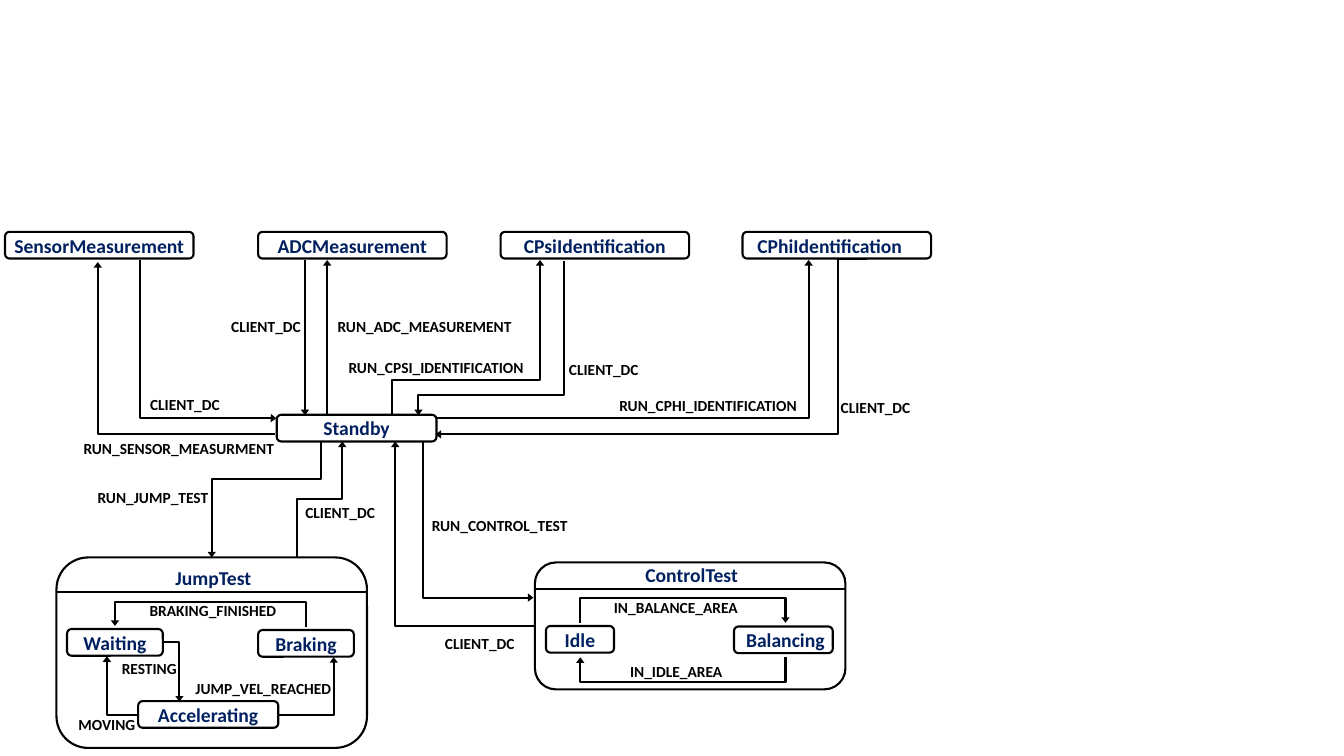
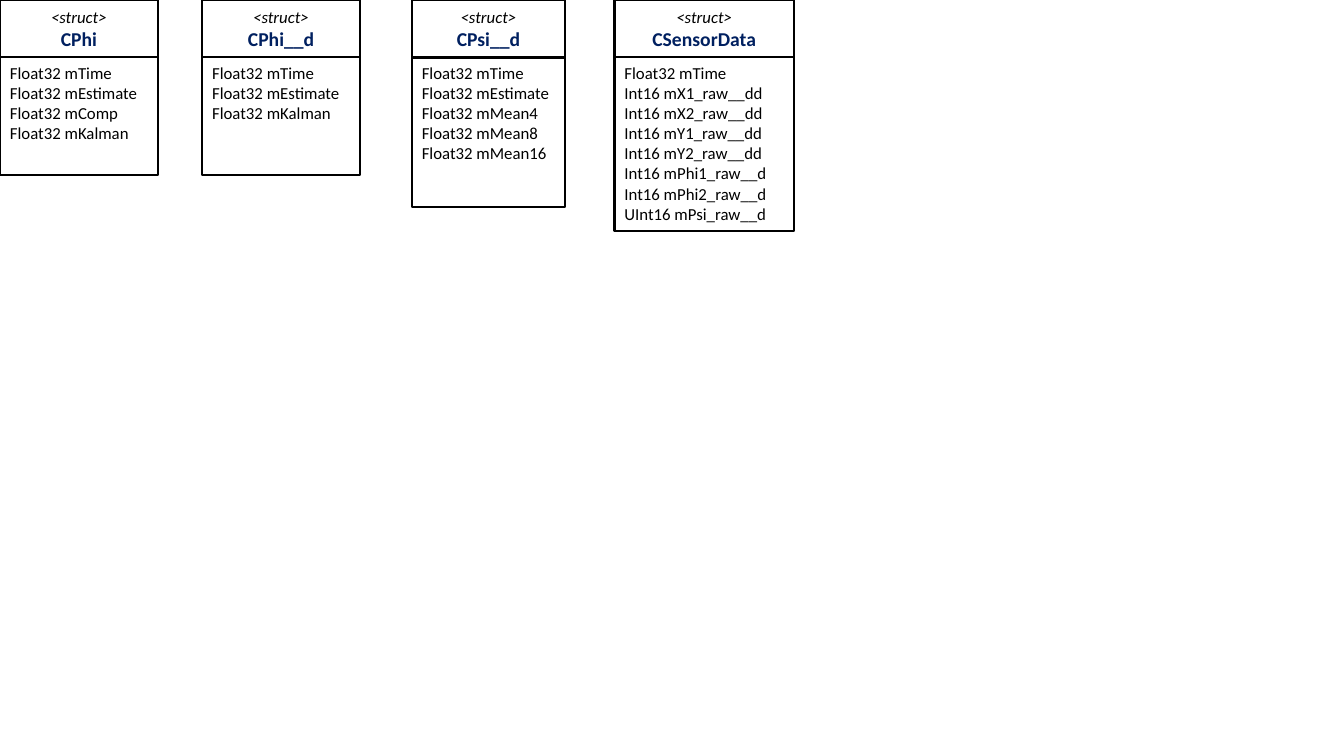
from dataclasses import dataclass

from lxml import etree
from pptx import Presentation
from pptx.dml.color import RGBColor
from pptx.enum.shapes import MSO_CONNECTOR as Connector, MSO_SHAPE as Preset
from pptx.enum.text import MSO_ANCHOR as Anchor, PP_ALIGN as Align
from pptx.oxml.ns import qn
from pptx.util import Inches, Pt


@dataclass(frozen=True)
class Style:
    size: int
    color: RGBColor
    bold: bool = False
    italic: bool = False


class Theme:
    font = "Calibri"
    black = RGBColor(0, 0, 0)
    white = RGBColor(255, 255, 255)
    navy = RGBColor(0x00, 0x20, 0x60)
    line = Pt(1.5)
    name = Style(14, navy, bold=True)
    event = Style(11, black, bold=True)
    field = Style(12, black)
    stereotype = Style(12, black, italic=True)


presentation = Presentation()
presentation.slide_width = Inches(13.33)
presentation.slide_height = Inches(7.5)
CELL = presentation.slide_height / 75  # square grid, 75 rows high
INSET = (1, 0.5, 1, 0.5)  # left, top, right, bottom in cells


def add_box(slide, preset, place, lines=(), align=Align.CENTER,
            anchor=Anchor.MIDDLE, inset=INSET, wrap=False):
    """Add a preset shape, or a text box when preset is None."""
    frame = [round(value * CELL) for value in place]
    if preset is None:
        shape = slide.shapes.add_textbox(*frame)
    else:
        shape = slide.shapes.add_shape(preset, *frame)
        shape.shadow.inherit = False
        shape.fill.solid()
        shape.fill.fore_color.rgb = Theme.white
        shape.line.color.rgb = Theme.black
        shape.line.width = Theme.line
    text_frame = shape.text_frame
    text_frame.word_wrap = wrap
    text_frame.vertical_anchor = anchor
    for side, margin in zip(("left", "top", "right", "bottom"), inset):
        setattr(text_frame, f"margin_{side}", round(margin * CELL))
    text_frame.text = "\n".join(text for text, _ in lines)
    for paragraph, (_, style) in zip(text_frame.paragraphs, lines):
        paragraph.alignment = align
        for run in paragraph.runs:
            run.font.name = Theme.font
            run.font.size = Pt(style.size)
            run.font.bold = style.bold
            run.font.italic = style.italic
            run.font.color.rgb = style.color


def draw_route(slide, points, arrow=True):
    """Draw one connector: straight for two points, elbow for more."""
    (x0, y0), (x1, y1) = points[0], points[-1]
    bend_x, bend_y = points[1]
    dx, dy = x1 - x0, y1 - y0
    is_bent = len(points) > 2
    is_upright = is_bent and bend_x == x0
    start, end, rotation = (x0, y0), (x1, y1), 0
    if is_upright:  # a quarter turn makes the first leg vertical
        center_x, center_y = (x0 + x1) / 2, (y0 + y1) / 2
        start = (center_x - dy / 2, center_y + dx / 2)
        end = (center_x + dy / 2, center_y - dx / 2)
        rotation = 90
    # A half turn stands for a flip in both directions
    half_turn = (dx > 0) != (dy < 0) if is_upright else dx < 0
    if is_bent and half_turn:
        start, end = end, start
        rotation += 180

    connector = slide.shapes.add_connector(
        Connector.ELBOW if is_bent else Connector.STRAIGHT,
        *(round(value * CELL) for value in (*start, *end)))
    connector.line.color.rgb = Theme.black
    connector.line.width = Theme.line
    properties = connector._element.spPr
    etree.SubElement(properties, qn("a:effectLst"))
    if rotation:
        properties.find(qn("a:xfrm")).set("rot", str(rotation * 60000))
    geometry = properties.find(qn("a:prstGeom"))
    if len(points) == 3 and not is_upright:
        geometry.set("prst", "bentConnector2")
    elif is_bent:
        share = (bend_y - y0) / dy if is_upright else (bend_x - x0) / dx
        etree.SubElement(geometry.find(qn("a:avLst")), qn("a:gd"),
                         name="adj1", fmla=f"val {round(share * 100000)}")
    if arrow:
        etree.SubElement(properties.find(qn("a:ln")), qn("a:tailEnd"),
                         type="triangle", w="med", len="sm")


blank = presentation.slide_layouts[6]

# Slide 1: state machine
slide = presentation.slides.add_slide(blank)

# Composite states: name, frame, title top, divider row
TITLE_SHIFT = 0.15
composites = [
    ("ControlTest", (53.05, 55.8, 30.8, 12.6), 55.3, 58.4),
    ("JumpTest", (5.6, 55.3, 30.8, 18.9), 55.6, 58.7),
]
for name, place, title_top, divider in composites:
    left, _, width, _ = place
    add_box(slide, Preset.ROUNDED_RECTANGLE, place)
    add_box(slide, None, (left + TITLE_SHIFT, title_top, width, 3.4),
            [(name, Theme.name)])
    draw_route(slide, [(left, divider), (left + width, divider)], arrow=False)

# Simple states: name, left, top, width, left and right text inset
STATE_HEIGHT = 2.65
TOP_ROW, TOP_WIDTH = 23, 18.7
states = [
    ("SensorMeasurement", 0.5, TOP_ROW, TOP_WIDTH, 0, 0),
    ("ADCMeasurement", 25.6, TOP_ROW, TOP_WIDTH, 0, 0),
    ("CPsiIdentification", 49.65, TOP_ROW, TOP_WIDTH, 0, 0),
    ("CPhiIdentification", 73.65, TOP_ROW, TOP_WIDTH, 0, 1.4),
    ("Standby", 27.45, 41.15, 15.85, 0, 0),
    ("Idle", 54.15, 62.1, 6.75, 0, 0),
    ("Balancing", 72.8, 62.15, 9.8, 0.4, 0),
    ("Waiting", 6.65, 62.4, 9.5, 0, 0),
    ("Braking", 25.6, 62.5, 9.5, 0, 0),
    ("Accelerating", 13.7, 69.55, 13.9, 0, 0),
]
for name, left, top, width, left_inset, right_inset in states:
    add_box(slide, Preset.ROUNDED_RECTANGLE, (left, top, width, STATE_HEIGHT),
            [(name, Theme.name)], inset=(left_inset, 0, right_inset, 0))

# Transitions: event, label left, label top, label width, route
transitions = [
    ("IN_BALANCE_AREA", 59.9, 58.85, 14.4,
     [(57.55, 61.8), (57.55, 59.7), (77.9, 59.7), (77.9, 61.79)]),
    ("IN_IDLE_AREA", 61.5, 65.2, 11.2,
     [(77.9, 65.2), (77.9, 67.3), (57.55, 67.3), (57.55, 65.21)]),
    ("RUN_SENSOR_MEASURMENT", 7.3, 43.05, 21.2,
     [(27.3, 43.1), (9.7, 43.1), (9.7, 26)]),
    ("CLIENT_DC", 13.9, 38.7, 9,
     [(13.9, 25.8), (13.9, 41.49), (27.4, 41.5)]),
    ("CLIENT_DC", 21.95, 30.95, 9, [(30.25, 25.8), (30.25, 41.2)]),
    ("RUN_ADC_MEASUREMENT", 32.5, 30.95, 19.5, [(32.45, 41.2), (32.45, 25.8)]),
    ("RUN_CPHI_IDENTIFICATION", 60.45, 38.8, 19.9,
     [(43.3, 41.5), (80.2, 41.5), (80.2, 25.8)]),
    ("CLIENT_DC", 82.4, 39, 9,
     [(86, 25.7), (83.1, 25.7), (83.1, 43.1), (43.2, 43.1)]),
    ("RUN_CPSI_IDENTIFICATION", 33.6, 35, 19.7,
     [(38.9, 41.2), (38.9, 37.7), (53.55, 37.7), (53.55, 25.8)]),
    ("CLIENT_DC", 55.45, 35.2, 9,
     [(55.9, 25.9), (55.9, 39.2), (41.5, 39.2), (41.5, 41.2)]),
    ("RUN_CONTROL_TEST", 41.85, 50.7, 15.7,
     [(41.95, 43.8), (41.95, 59.29), (52.9, 59.3)]),
    ("CLIENT_DC", 43.15, 62.4, 9,
     [(53.1, 62.1), (39.2, 62.1), (39.2, 43.8)]),
    ("RESTING", 11.1, 64.9, 7.6,
     [(16.2, 63.7), (17.8, 63.7), (17.8, 69.6)]),
    ("MOVING", 6.8, 70.5, 7.7,
     [(13.7, 70.9), (10.6, 70.9), (10.6, 65.1)]),
    ("JUMP_VEL_REACHED", 18.4, 66.9, 15.6,
     [(27.6, 70.9), (33.1, 70.9), (33.1, 65.2)]),
    ("BRAKING_FINISHED", 13.85, 59.1, 14.7,
     [(30.35, 62.2), (30.35, 59.65), (11.4, 59.65), (11.4, 62.1)]),
    ("CLIENT_DC", 29.3, 49.4, 9,
     [(29.5, 55.3), (29.5, 49.55), (33.95, 49.55), (33.95, 43.8)]),
    ("RUN_JUMP_TEST", 8.7, 47.95, 13.2,
     [(31.85, 43.8), (31.85, 47.5), (21, 47.5), (21, 55.3)]),
]
for event, left, top, width, route in transitions:
    draw_route(slide, route)
    add_box(slide, None, (left, top, width, 2.9), [(event, Theme.event)],
            align=Align.LEFT, anchor=Anchor.TOP)

# Slide 2: data structures
slide = presentation.slides.add_slide(blank)
HEADER_HEIGHT = 5.7

# Structs: name, left, width, body height, fields
structs = [
    ("CPhi", 0, 15.65, 11.7,
     ["Float32 mTime", "Float32 mEstimate", "Float32 mComp", "Float32 mKalman"]),
    ("CPhi__d", 20.05, 15.65, 11.7,
     ["Float32 mTime", "Float32 mEstimate", "Float32 mKalman"]),
    ("CPsi__d", 40.85, 15.2, 14.8,
     ["Float32 mTime", "Float32 mEstimate", "Float32 mMean4", "Float32 mMean8",
      "Float32 mMean16"]),
    ("CSensorData", 60.95, 17.8, 17.25,
     ["Float32 mTime", "Int16 mX1_raw__dd", "Int16 mX2_raw__dd",
      "Int16 mY1_raw__dd", "Int16 mY2_raw__dd", "Int16 mPhi1_raw__d",
      "Int16 mPhi2_raw__d", "UInt16 mPsi_raw__d"]),
]
for name, left, width, body_height, fields in structs:
    add_box(slide, Preset.RECTANGLE, (left, HEADER_HEIGHT, width, body_height),
            [(field, Theme.field) for field in fields],
            align=Align.LEFT, anchor=Anchor.TOP, wrap=True)
    add_box(slide, Preset.RECTANGLE, (left, 0, width, HEADER_HEIGHT),
            [("<struct>", Theme.stereotype), (name, Theme.name)], wrap=True)

presentation.save("out.pptx")
